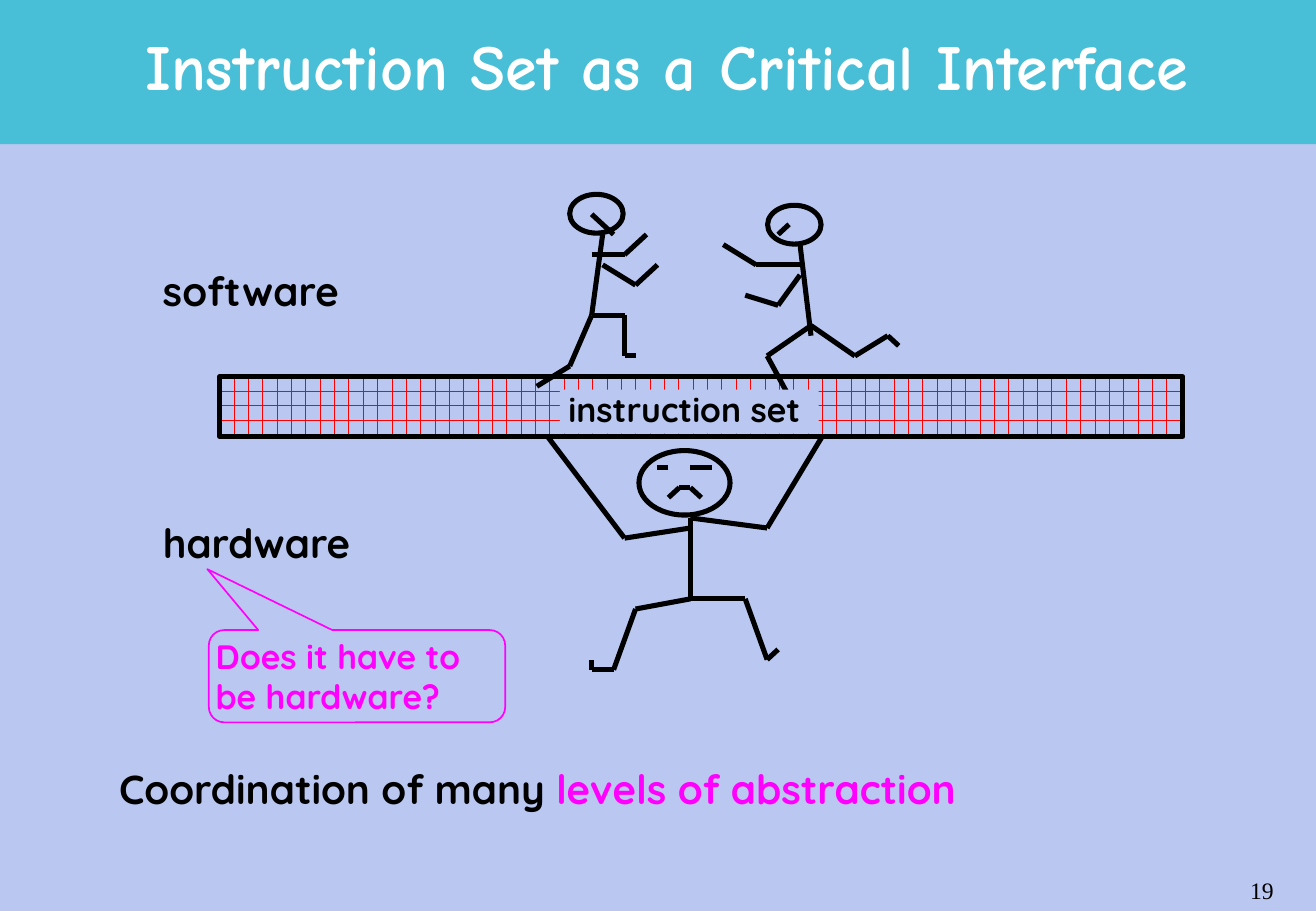
from itertools import pairwise

from lxml import etree
from pptx import Presentation
from pptx.dml.color import RGBColor
from pptx.enum.dml import MSO_PATTERN
from pptx.enum.shapes import MSO_CONNECTOR, MSO_SHAPE
from pptx.enum.text import MSO_ANCHOR, MSO_AUTO_SIZE, PP_ALIGN
from pptx.oxml.ns import qn
from pptx.util import Pt

RECT, OVAL = MSO_SHAPE.RECTANGLE, MSO_SHAPE.OVAL
BUBBLE = MSO_SHAPE.ROUNDED_RECTANGULAR_CALLOUT
BRICK = MSO_PATTERN.HORIZONTAL_BRICK
LINE = MSO_CONNECTOR.STRAIGHT
LEFT, CENTER = PP_ALIGN.LEFT, PP_ALIGN.CENTER
TOP, MIDDLE = MSO_ANCHOR.TOP, MSO_ANCHOR.MIDDLE
FIXED, GROW = MSO_AUTO_SIZE.NONE, MSO_AUTO_SIZE.SHAPE_TO_FIT_TEXT

BACK, TEAL, PINK, BLACK, WHITE, RED = (
    "BAC8F1", "49BFD7", "FF00FF", "000000", "FFFFFF", "FF0000")
SANS = "Quicksand"

# Heads: left, top, width, height in points
HEADS = [(337.7, 115.2, 31.7, 23), (455, 121.7, 31.7, 23), (378.7, 267.1, 54, 38.2)]

# Strokes of the stick figures, as (column, row) on the drawing grid
LEFT_MAN = [
    [(55, 23), (54, 31), (57, 31), (57, 35), (58, 35)],
    [(54, 31), (52, 36), (49, 38)],
    [(55, 26), (58, 28), (60, 26)],
    [(54, 25), (57, 25), (59, 23)],
    [(56, 23), (54, 21)],
]
RIGHT_MAN = [
    [(73, 24), (74, 33)],
    [(74, 32), (70, 35), (72, 39)],
    [(74, 32), (78, 35), (81, 33), (82, 34)],
    [(73, 27), (71, 30), (68, 29)],
    [(73, 26), (69, 26), (66, 24)],
    [(71, 23), (72, 22)],
]
LOW_MAN = [
    [(61, 49), (62, 48), (63, 48), (64, 49)],
    [(63, 46), (65, 46)],
    [(61, 46), (60, 46)],
    [(63, 51), (63, 59), (68, 59), (70, 65), (71, 64)],
    [(63, 59), (58, 60), (56, 66), (54, 66), (54, 65)],
    [(63, 51), (70, 52), (75, 43), (78, 43)],
    [(63, 52), (57, 53), (50, 43), (47, 43)],
]


def color(code):
    return RGBColor.from_string(code)


def place(shape, box):
    shape.left, shape.top, shape.width, shape.height = map(Pt, box)


def grid(col, row):
    return Pt(6.5 * col - 0.3), Pt(6 * row + 1)


def add_box(slide, kind, box, fill=None, line=None, width=3):
    shape = slide.shapes.add_shape(kind, *map(Pt, box))
    shape.shadow.inherit = False
    if fill:
        shape.fill.solid()
        shape.fill.fore_color.rgb = color(fill)
    else:
        shape.fill.background()
    if line:
        shape.line.color.rgb = color(line)
        shape.line.width = Pt(width)
    else:
        shape.line.fill.background()
    return shape


def add_stroke(slide, points):
    for start, end in pairwise(points):
        line = slide.shapes.add_connector(LINE, *grid(*start), *grid(*end))
        line.line.color.rgb = color(BLACK)
        line.line.width = Pt(3)
        props = line.element.find(qn("p:spPr"))
        etree.SubElement(props, qn("a:effectLst"))


def write(shape, runs, size, font=SANS, bold=True, align=LEFT, anchor=TOP,
          pad=(5, 2), wrap=True, fit=FIXED, space=1.0):
    """Fill a shape with one paragraph of (text, colour) runs."""
    frame = shape.text_frame
    frame.word_wrap = wrap
    frame.auto_size = fit
    frame.vertical_anchor = anchor
    frame.margin_left = frame.margin_right = Pt(pad[0])
    frame.margin_top = frame.margin_bottom = Pt(pad[1])
    para = frame.paragraphs[0]
    para.alignment = align
    para.line_spacing = space
    para.space_before = Pt(0)
    para.font.name, para.font.size, para.font.bold = font, Pt(size), bold
    if len(runs) == 1:
        para.font.color.rgb = color(runs[0][1])
    for text, code in runs:
        run = para.add_run()
        run.text = text
        if len(runs) > 1:
            run.font.color.rgb = color(code)
    return para


def add_label(slide, text, box, size, **style):
    label = slide.shapes.add_textbox(*map(Pt, box))
    write(label, [(text, BLACK)], size, **style)


def main():
    deck = Presentation()
    deck.slide_width, deck.slide_height = Pt(780), Pt(540)
    slide = deck.slides.add_slide(deck.slide_layouts[1])
    slide.background.fill.solid()
    slide.background.fill.fore_color.rgb = color(BACK)

    # Title on its band, which goes behind everything
    band = add_box(slide, RECT, (0, 0, 780, 85.5), TEAL)
    slide.shapes.element.insert(2, band.element)
    title, body = slide.placeholders
    place(title, (-13, 10, 816.5, 57))
    write(title, [("Instruction Set as a Critical Interface", WHITE)], 38,
          font="Comic Neue", align=CENTER, anchor=MIDDLE, pad=(7.2, 3.6))

    # Closing statement
    place(body, (63.4, 450, 663, 38))
    para = write(body, [("Coordination of many ", BLACK), ("levels of abstraction", PINK)],
                 24, anchor=MIDDLE, pad=(7.2, 3.6), space=0.9)
    props = para._p.get_or_add_pPr()
    props.set("marL", "0")
    props.set("indent", "0")
    etree.SubElement(props, qn("a:buNone"))
    props.insert_element_before(props.find(qn("a:buNone")), "a:defRPr")

    # Brick wall between the two sides
    wall = add_box(slide, RECT, (130.2, 223.4, 571, 35.3), line=BLACK)
    wall.fill.patterned()
    wall.fill.pattern = BRICK
    wall.fill.fore_color.rgb = color(RED)
    wall.fill.back_color.rgb = color(BACK)

    # Stick figures
    for head in HEADS:
        add_box(slide, OVAL, head, line=BLACK)
    for stroke in LEFT_MAN + RIGHT_MAN + LOW_MAN:
        add_stroke(slide, stroke)

    # Names of the levels
    plate = add_box(slide, RECT, (331.9, 231, 153.4, 26), BACK)
    write(plate, [("instruction set", BLACK)], 20, wrap=False, fit=GROW, space=0.92)
    for text, top, width in (("software", 160, 117), ("hardware", 309.6, 132)):
        add_label(slide, text, (91.5, top, width, 29), 24, wrap=False, fit=GROW, space=0.85)

    # Question about the hardware
    bubble = add_box(slide, BUBBLE, (123.8, 373.5, 175.7, 54.7), line=PINK, width=1)
    for i, value in enumerate((-0.505, -1.16, 0.167)):
        bubble.adjustments[i] = value
    write(bubble, [("Does it have to be hardware?", PINK)], 20, anchor=MIDDLE, pad=(1.4, 0.7))

    # Slide number
    add_label(slide, "19", (730, 515.5, 36, 24.5), 14, font="Times New Roman",
              bold=False, align=CENTER, pad=(7.2, 3.6))

    deck.save("out.pptx")


if __name__ == "__main__":
    main()
